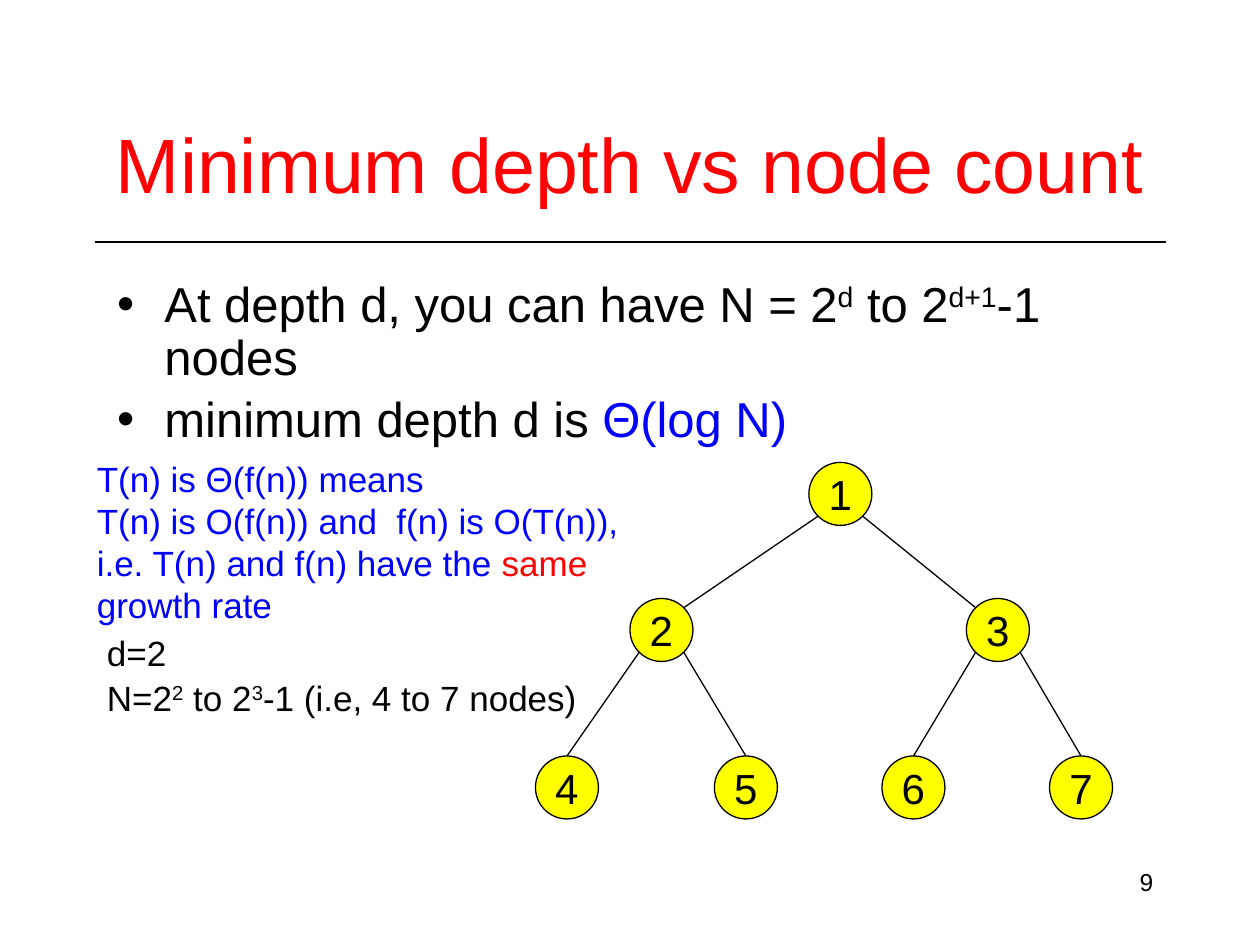
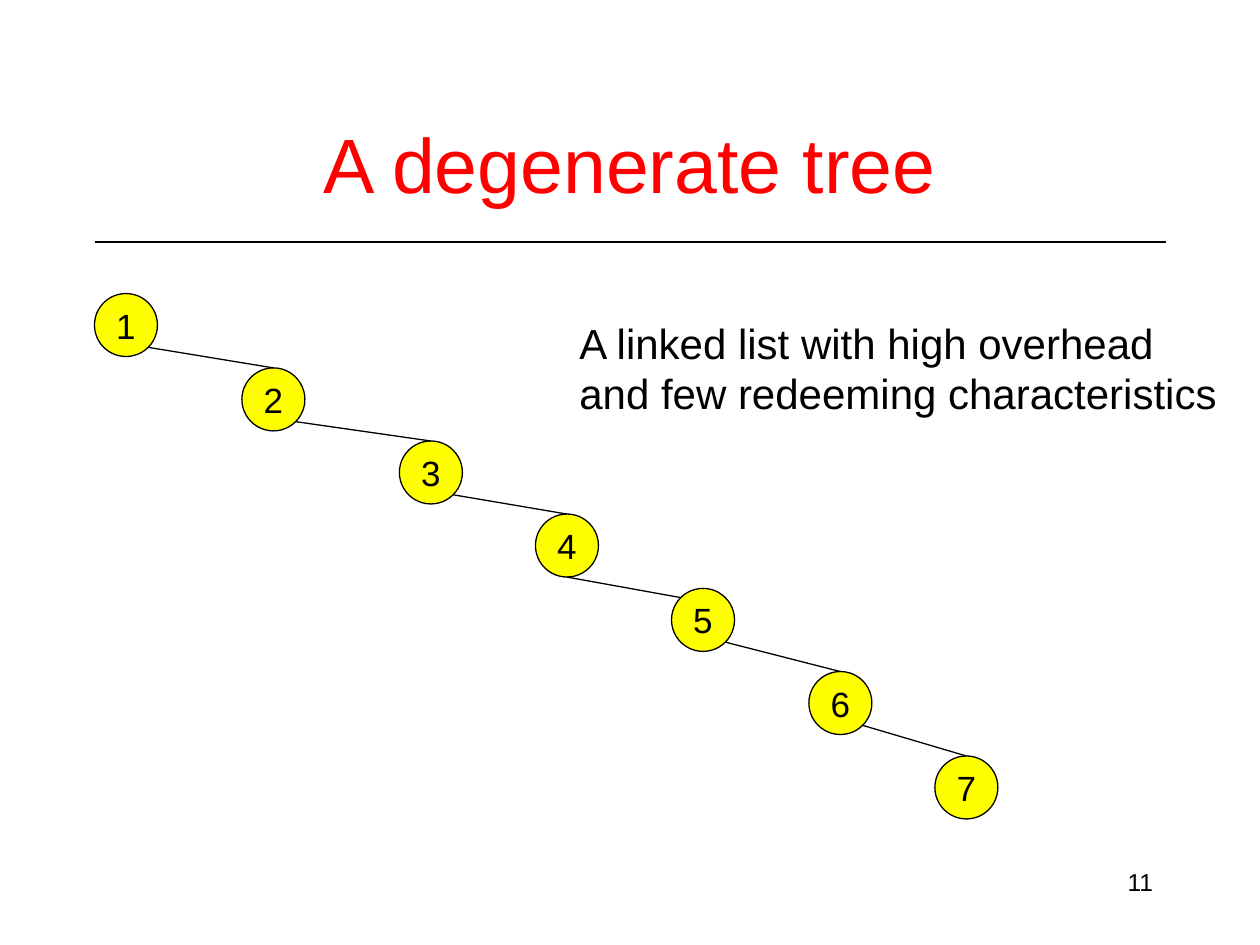
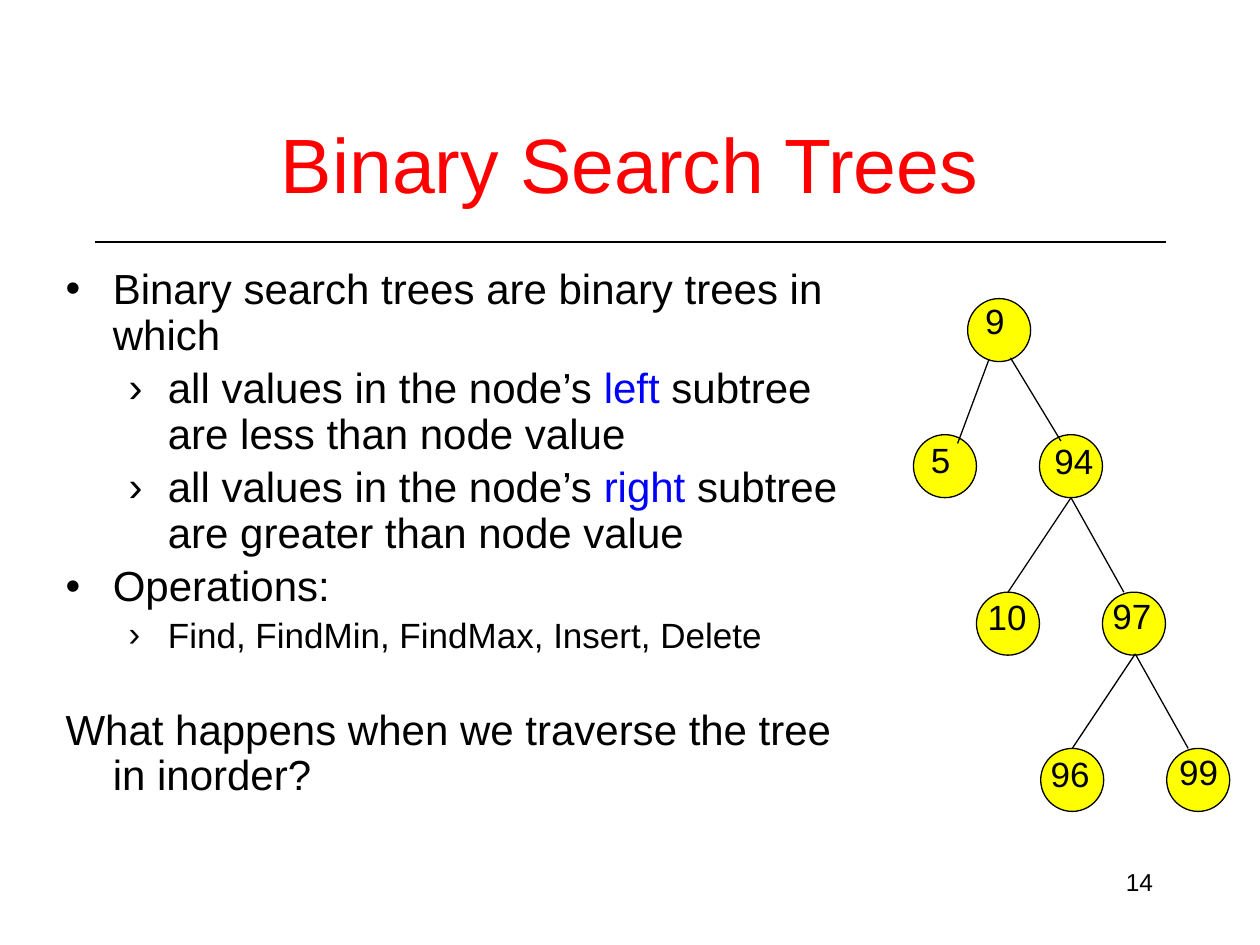
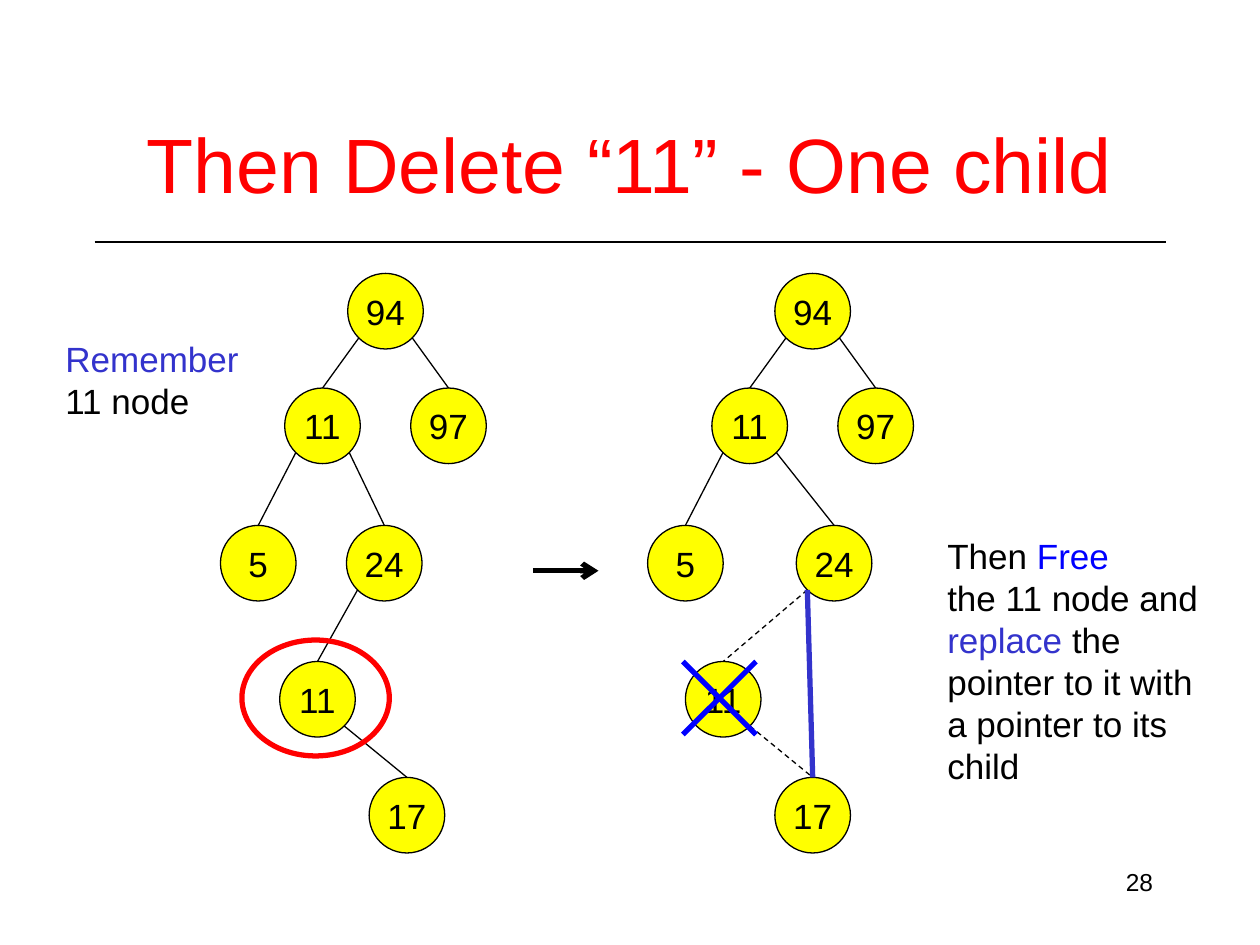
from lxml import etree
from pptx import Presentation
from pptx.dml.color import RGBColor
from pptx.enum import dml, shapes, text
from pptx.oxml.ns import qn
from pptx.util import Inches, Pt

BLACK = RGBColor(0x00, 0x00, 0x00)
RED = RGBColor(0xFF, 0x00, 0x00)
BLUE = RGBColor(0x00, 0x00, 0xFF)
INDIGO = RGBColor(0x33, 0x33, 0xCC)
YELLOW = RGBColor(0xFF, 0xFF, 0x00)
FONT = "Arial"
SUPERSCRIPT = "superscript"
TITLE_ONLY, TITLE_AND_BODY = 5, 1
THIN, THICK = 0.75, 3
DIAGONAL = 0.5 ** 0.5

# Points on a node's rim, as directions from its centre
SITES = {
    "top": (0, -1),
    "bottom": (0, 1),
    "top left": (-DIAGONAL, -DIAGONAL),
    "top right": (DIAGONAL, -DIAGONAL),
    "bottom left": (-DIAGONAL, DIAGONAL),
    "bottom right": (DIAGONAL, DIAGONAL),
}

# Body paragraphs: (level or None for no bullet, size, runs)
DEPTH_BODY = [
    (0, 28, ["At depth d, you can have N = 2", ("d", SUPERSCRIPT), " to 2",
             ("d+1", SUPERSCRIPT), "-1 nodes"]),
    (0, 28, ["minimum depth d is ", ("Θ(log N)", BLUE)]),
]
THETA_NOTE = [
    ["T(n) is Θ(f(n)) means"],
    ["T(n) is O(f(n)) and  f(n) is O(T(n)),"],
    ["i.e. T(n) and f(n) have the ", ("same ", RED), "growth rate"],
]
DEPTH_EXAMPLE = [
    ["d=2"],
    ["N=2", ("2", SUPERSCRIPT), " to 2", ("3", SUPERSCRIPT), "-1 (i.e, 4 to 7 nodes)"],
]
FULL_TREE = {"1": (6.42, 3.67), "2": (5, 4.75), "3": (7.67, 4.75), "4": (4.25, 6),
             "5": (5.67, 6), "6": (7, 6), "7": (8.33, 6)}
FULL_EDGES = [
    ("1", "bottom left", "2", "top right"),
    ("1", "bottom right", "3", "top left"),
    ("2", "bottom left", "4", "top"),
    ("2", "bottom right", "5", "top"),
    ("3", "bottom left", "6", "top"),
    ("3", "bottom right", "7", "top"),
]

CHAIN = {"1": (0.75, 2.33), "2": (1.92, 2.92), "3": (3.17, 3.5), "4": (4.25, 4.08),
         "5": (5.33, 4.67), "6": (6.42, 5.33), "7": (7.42, 6)}
CHAIN_EDGES = [
    ("1", "bottom right", "2", "top"),
    ("2", "bottom right", "3", "top"),
    ("3", "bottom right", "4", "top"),
    ("4", "bottom", "5", "top left"),
    ("5", "bottom right", "6", "top"),
    ("6", "bottom right", "7", "top"),
]
CHAIN_NOTE = [["A linked list with high overhead"], ["and few redeeming characteristics"]]

SEARCH_BODY = [
    (0, 24, ["Binary search trees are binary trees in which"]),
    (1, 24, ["all values in the node’s ", ("left", BLUE),
             " subtree are less than node value"]),
    (1, 24, ["all values in the node’s ", ("right", BLUE),
             " subtree are greater than node value"]),
    (0, 24, ["Operations:"]),
    (1, 20, ["Find, FindMin, FindMax, Insert, Delete"]),
    (None, 24, ["What happens when we traverse the tree in inorder?"]),
]
QUESTION_GAP = 30.5
# Node corner, then corner and width of its label
SEARCH_TREE = {
    "9": ((7.68, 2.37), (7.72, 2.33), 0.44),
    "5": ((7.25, 3.45), (7.29, 3.43), 0.44),
    "94": ((8.25, 3.45), (8.27, 3.44), 0.76),
    "10": ((7.75, 4.7), (7.74, 4.68), 0.55),
    "97": ((8.75, 4.7), (8.73, 4.67), 0.76),
    "96": ((8.26, 5.94), (8.24, 5.92), 0.57),
    "99": ((9.26, 5.94), (9.26, 5.91), 0.59),
}
SEARCH_LINES = [
    ((7.85, 2.85), (7.6, 3.52)), ((8.02, 2.84), (8.42, 3.5)),
    ((8.5, 3.95), (8, 4.7)), ((8.5, 3.95), (8.92, 4.7)),
    ((9.01, 5.19), (8.51, 5.94)), ((9.01, 5.19), (9.43, 5.94)),
]

BEFORE_TREE = {"94": (2.76, 2.17), "11": (2.26, 3.08), "97": (3.26, 3.08),
               "5": (1.75, 4.17), "24": (2.75, 4.17), "11 ": (2.22, 5.25),
               "17": (2.93, 6.17)}
AFTER_SHIFT = 3.39
AFTER_MOVED = {"24": (6.32, 4.17), "11 ": (5.44, 5.25), "17": (6.15, 6.17)}
KEPT_EDGES = [
    ("94", "bottom left", "11", "top"),
    ("94", "bottom right", "97", "top"),
    ("11", "bottom left", "5", "top"),
    ("11", "bottom right", "24", "top"),
]
# The key "11 " is the second node labelled 11, the one to delete
DELETED_EDGES = [
    ("24", "bottom left", "11 ", "top"),
    ("11 ", "bottom right", "17", "top"),
]
NEW_EDGE = ("24", "bottom left", "17", "top")
CROSS = [((5.42, 5.25), (6, 5.83)), ((6, 5.25), (5.42, 5.83))]
REMEMBER_NOTE = [[("Remember", INDIGO)], ["11 node"]]
FREE_NOTE = [
    ["Then", (" Free", BLUE)],
    ["the 11 node and"],
    [("replace", INDIGO), " the"],
    ["pointer to it with"],
    ["a pointer to its"],
    ["child"],
]


def place(shape, left, top, width, height):
    """Move and size a shape, in inches."""
    shape.left, shape.top = Inches(left), Inches(top)
    shape.width, shape.height = Inches(width), Inches(height)


def write(paragraph, runs, size, color=BLACK):
    """Fill a paragraph with runs; a pair adds a colour or a superscript."""
    paragraph.font.name, paragraph.font.size = FONT, Pt(size)
    paragraph.font.color.rgb = color
    for part in runs:
        words, style = part if isinstance(part, tuple) else (part, None)
        run = paragraph.add_run()
        run.text = words
        run.font.name, run.font.size = FONT, Pt(size)
        run.font.color.rgb = style if isinstance(style, RGBColor) else color
        if style == SUPERSCRIPT:
            run.font._element.set("baseline", "30000")


def paragraphs_of(frame, count):
    """Return the given number of paragraphs of an empty text frame."""
    return [frame.paragraphs[0]] + [frame.add_paragraph() for _ in range(count - 1)]


def add_note(slide, box, lines, size=20, color=BLACK, wrap=False,
             anchor=text.MSO_ANCHOR.TOP):
    """Add a free text box and return its paragraphs."""
    frame = slide.shapes.add_textbox(*map(Inches, box)).text_frame
    frame.word_wrap, frame.vertical_anchor = wrap, anchor
    frame.auto_size = text.MSO_AUTO_SIZE.SHAPE_TO_FIT_TEXT
    written = paragraphs_of(frame, len(lines))
    for paragraph, runs in zip(written, lines):
        write(paragraph, runs, size, color)
    return written


def add_slide(deck, layout, title, number):
    """Add a slide with its title and its printed number."""
    slide = deck.slides.add_slide(deck.slide_layouts[layout])
    heading = slide.shapes.title
    place(heading, 0.75, 0.67, 8.5, 1.25)
    frame = heading.text_frame
    frame.auto_size, frame.vertical_anchor = text.MSO_AUTO_SIZE.NONE, text.MSO_ANCHOR.MIDDLE
    frame.paragraphs[0].alignment = text.PP_ALIGN.CENTER
    write(frame.paragraphs[0], [title], 44, RED)
    page = add_note(slide, (7.17, 6.83, 2.08, 0.5), [[number]], 14, wrap=True)
    page[0].alignment = text.PP_ALIGN.RIGHT
    return slide


def fill_body(slide, box, items):
    """Write the bullet list into the body placeholder; return its paragraphs."""
    body = slide.placeholders[1]
    place(body, *box)
    frame = body.text_frame
    frame.auto_size = text.MSO_AUTO_SIZE.NONE
    written = paragraphs_of(frame, len(items))
    for paragraph, (level, size, runs) in zip(written, items):
        paragraph.level, paragraph.line_spacing = level or 0, 0.9
        write(paragraph, runs, size)
        properties = paragraph._p.get_or_add_pPr()
        if level is None:
            bullet = etree.Element(qn("a:buNone"))
        else:
            bullet = etree.Element(qn("a:buChar"), char="•›"[level])
        properties.insert_element_before(bullet, "a:tabLst", "a:defRPr", "a:extLst")
    return written


def add_line(slide, start, end, color=BLACK, width=THIN, dashed=False, arrow=False):
    """Draw a straight line between two points."""
    line = slide.shapes.add_connector(
        shapes.MSO_CONNECTOR.STRAIGHT, *map(Inches, (*start, *end)))
    line.line.color.rgb, line.line.width = color, Pt(width)
    if dashed:
        line.line.dash_style = dml.MSO_LINE.DASH
    properties = line.element.spPr
    if arrow:
        etree.SubElement(properties.find(qn("a:ln")), qn("a:tailEnd"), type="arrow")
    etree.SubElement(properties, qn("a:effectLst"))
    return line


def add_oval(slide, box, color=BLACK, width=THIN, fill=None):
    """Draw an ellipse, hollow unless a fill is given."""
    oval = slide.shapes.add_shape(shapes.MSO_SHAPE.OVAL, *map(Inches, box))
    oval.shadow.inherit = False
    oval.line.color.rgb, oval.line.width = color, Pt(width)
    if fill is None:
        oval.fill.background()
    else:
        oval.fill.solid()
        oval.fill.fore_color.rgb = fill
    return oval


def add_nodes(slide, nodes, diameter, size):
    """Draw labelled tree nodes."""
    for label, corner in nodes.items():
        node = add_oval(slide, (*corner, diameter, diameter), fill=YELLOW)
        frame = node.text_frame
        frame.word_wrap, frame.vertical_anchor = False, text.MSO_ANCHOR.MIDDLE
        frame.paragraphs[0].alignment = text.PP_ALIGN.CENTER
        write(frame.paragraphs[0], [label.strip()], size)


def add_edges(slide, nodes, diameter, edges, **style):
    """Join nodes from rim point to rim point."""
    def rim(label, site):
        """Return a point on the rim of a node."""
        return [corner + diameter / 2 * (1 + way)
                for corner, way in zip(nodes[label], SITES[site])]

    for parent, leaving, child, entering in edges:
        add_line(slide, rim(parent, leaving), rim(child, entering), **style)


def build_depth(deck):
    """Minimum depth, with a full tree."""
    slide = add_slide(deck, TITLE_AND_BODY, "Minimum depth vs node count", "9")
    fill_body(slide, (0.83, 2.17, 8.33, 1.33), DEPTH_BODY)
    add_nodes(slide, FULL_TREE, 0.5, 24)
    add_edges(slide, FULL_TREE, 0.5, FULL_EDGES)
    add_note(slide, (0.67, 3.58, 4.5, 1.43), THETA_NOTE, color=BLUE, wrap=True)
    for paragraph in add_note(slide, (0.75, 5, 3.94, 1.1), DEPTH_EXAMPLE):
        paragraph.line_spacing, paragraph.space_before = 0.9, Pt(4)
    return slide


def build_chain(deck):
    """A tree that is only a chain."""
    slide = add_slide(deck, TITLE_ONLY, "A degenerate tree", "11")
    add_nodes(slide, CHAIN, 0.5, 20)
    add_edges(slide, CHAIN, 0.5, CHAIN_EDGES)
    add_note(slide, (4.5, 2.47, 5.26, 0.9), CHAIN_NOTE, 24, anchor=text.MSO_ANCHOR.MIDDLE)


def build_search(deck):
    """Definition of search trees, with an example."""
    slide = add_slide(deck, TITLE_AND_BODY, "Binary Search Trees", "14")
    question = fill_body(slide, (0.42, 2.08, 6.58, 4.5), SEARCH_BODY)[-1]
    question.space_before = Pt(QUESTION_GAP)
    for corner, _, _ in SEARCH_TREE.values():
        add_oval(slide, (*corner, 0.5, 0.5), fill=YELLOW)
    for start, end in SEARCH_LINES:
        add_line(slide, start, end)
    for label, (_, corner, width) in SEARCH_TREE.items():
        add_note(slide, (*corner, width, 0.43), [[label]], wrap=True)


def build_deletion(deck):
    """Deleting a node with one child, before and after."""
    slide = add_slide(deck, TITLE_ONLY, "Then Delete “11” - One child", "28")
    after_tree = {label: (x + AFTER_SHIFT, y) for label, (x, y) in BEFORE_TREE.items()}
    after_tree.update(AFTER_MOVED)
    add_line(slide, (4.23, 4.53), (4.75, 4.53), width=THICK, arrow=True)
    add_note(slide, (0.42, 2.63, 1.62, 0.77), REMEMBER_NOTE)
    add_note(slide, (7.42, 4.19, 2.3, 2.1), FREE_NOTE)
    for tree, dashed in ((BEFORE_TREE, False), (after_tree, True)):
        add_nodes(slide, tree, 0.6, 20)
        add_edges(slide, tree, 0.6, KEPT_EDGES)
        add_edges(slide, tree, 0.6, DELETED_EDGES, dashed=dashed)
    add_oval(slide, (1.92, 5.08, 1.17, 0.92), RED, THICK)
    for start, end in CROSS:
        add_line(slide, start, end, BLUE, THICK)
    add_edges(slide, after_tree, 0.6, [NEW_EDGE], color=INDIGO, width=THICK)


def main():
    """Build the deck; the rule under the titles goes on the master."""
    deck = Presentation()
    deck.slide_width, deck.slide_height = Inches(10), Inches(7.5)
    first = build_depth(deck)
    title_rule = add_line(first, (0.75, 1.92), (9.25, 1.92))
    deck.slide_master.shapes.element.append(title_rule.element)
    build_chain(deck)
    build_search(deck)
    build_deletion(deck)
    deck.save("out.pptx")


main()
